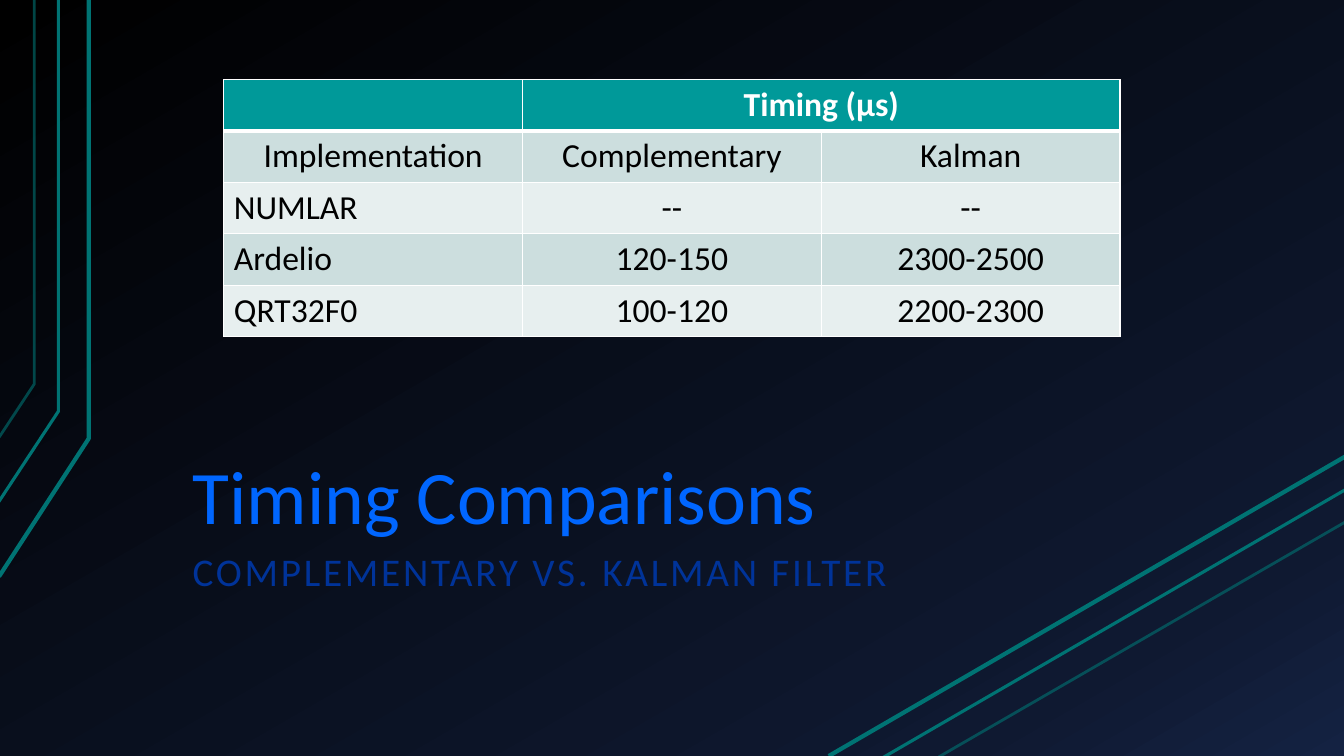
from copy import deepcopy
from pptx import Presentation
from pptx.dml.color import RGBColor
from pptx.enum.shapes import MSO_CONNECTOR
from pptx.enum.text import MSO_ANCHOR, PP_ALIGN
from pptx.oxml.ns import qn
from pptx.util import Inches, Pt
from lxml import etree

THEME = {
    "font": "Calibri",
    "background": [(0, "000000"), (0.85, "0F1931"), (1, "142242")],
    "trace": "007373",
    "title": "0066FF",
    "subtitle": "003399",
    "header": "009999",
    "bands": ["CCDEDE", "E7EFEF"],
    "border": "FFFFFF",
    "header_text": "FFFFFF",
    "cell_text": "000000",
    "title_size": 54,
    "subtitle_size": 28,
    "table_size": 24,
}


def write(frame, text, size, color, para_format, bold=False):
    para = frame.paragraphs[0]
    for name, value in para_format.items():
        setattr(para, name, value)
    span = para.add_run()
    span.text = text
    font_format = {"name": THEME["font"], "size": Pt(size), "bold": bold}
    for name, value in font_format.items():
        setattr(span.font, name, value)
    span.font.color.rgb = RGBColor.from_string(color)
    return span


def style_trace(shape, width, opacity):
    shape.line.width = Pt(width)
    shape.line.color.rgb = RGBColor.from_string(THEME["trace"])
    properties = shape._element.spPr
    color = properties.find(".//" + qn("a:ln") + "//" + qn("a:srgbClr"))
    etree.SubElement(color, qn("a:alpha"), val=str(opacity * 1000))
    if properties.find(qn("a:effectLst")) is None:
        etree.SubElement(properties, qn("a:effectLst"))


deck = Presentation()
deck.slide_width, deck.slide_height = Inches(13.33), Inches(7.5)
page = deck.slides.add_slide(deck.slide_layouts[5])

background = page.background.fill
background.gradient()
background.gradient_angle = 300
stop_list = page._element.find(".//" + qn("a:gsLst"))
stop_list.append(deepcopy(stop_list[0]))
for stop, (position, color) in zip(background.gradient_stops, THEME["background"]):
    stop.position = position
    stop.color.rgb = RGBColor.from_string(color)

trace_styles = [(3, 100), (2.25, 100), (2, 60)]
bent_traces = [
    [(-0.01, 5.72), (0.88, 4.35), (0.88, 0)],
    [(-0.02, 4.99), (0.58, 4.08), (0.58, 0)],
    [(-0.01, 4.34), (0.34, 3.81), (0.34, 0)],
]
for points, (width, opacity) in zip(bent_traces, trace_styles):
    start, *rest = [(Inches(x), Inches(y)) for x, y in points]
    builder = page.shapes.build_freeform(*start)
    builder.add_line_segments(rest, close=False)
    trace = builder.convert_to_shape()
    trace.fill.background()
    trace.shadow.inherit = False
    style_trace(trace, width, opacity)

straight_traces = [(8.22, 7.5, 4.53), (8.75, 7.52, 4.86), (9.31, 7.51, 5.18)]
for (left, bottom, top), (width, opacity) in zip(straight_traces, trace_styles):
    trace = page.shapes.add_connector(
        MSO_CONNECTOR.STRAIGHT, Inches(left), Inches(bottom), Inches(13.34), Inches(top)
    )
    style_trace(trace, width, opacity)

title = page.shapes.title
title_place = {"left": 1.78, "top": 2.42, "width": 9.78, "height": 3.02}
for name, value in title_place.items():
    setattr(title, name, Inches(value))
subtitle = page.shapes.add_textbox(Inches(1.78), Inches(5.41), Inches(7.73), Inches(1.34))

frame_format = {
    "word_wrap": True,
    "margin_left": Inches(0.13),
    "margin_right": Inches(0.13),
    "margin_top": Inches(0.07),
    "margin_bottom": Inches(0.07),
}
for box, anchor in [(title, MSO_ANCHOR.BOTTOM), (subtitle, MSO_ANCHOR.TOP)]:
    for name, value in {**frame_format, "vertical_anchor": anchor}.items():
        setattr(box.text_frame, name, value)

heading_format = {"alignment": PP_ALIGN.LEFT, "line_spacing": 0.9}
write(title.text_frame, "Timing Comparisons", THEME["title_size"], THEME["title"], heading_format)
subtitle_span = write(
    subtitle.text_frame,
    "COMPLEMENTARY VS. KALMAN FILTER",
    THEME["subtitle_size"],
    THEME["subtitle"],
    heading_format,
)
subtitle_span.font._element.set("spc", "200")

timings = [
    ["", "Timing (μs)", ""],
    ["Implementation", "Complementary", "Kalman"],
    ["NUMLAR", "--", "--"],
    ["Ardelio", "120-150", "2300-2500"],
    ["QRT32F0", "100-120", "2200-2300"],
]
row_height = 0.51
table = page.shapes.add_table(
    len(timings), 3, Inches(2.22), Inches(0.79), Inches(8.89), Inches(row_height * len(timings))
).table
table.first_row = False
table.horz_banding = False
table.cell(0, 1).merge(table.cell(0, 2))

for row, texts in enumerate(timings):
    is_header = row == 0
    fill = THEME["header"] if is_header else THEME["bands"][(row - 1) % 2]
    color = THEME["header_text"] if is_header else THEME["cell_text"]
    for column, text in enumerate(texts):
        cell = table.cell(row, column)
        cell.fill.solid()
        cell.fill.fore_color.rgb = RGBColor.from_string(fill)
        if text:
            is_label = column == 0 and row > 1
            alignment = PP_ALIGN.LEFT if is_label else PP_ALIGN.CENTER
            write(cell.text_frame, text, THEME["table_size"], color, {"alignment": alignment}, is_header)
        borders = {"lnL": 1, "lnR": 1, "lnT": 3 if row == 1 else 1, "lnB": 3 if is_header else 1}
        properties = cell._tc.get_or_add_tcPr()
        for index, (side, width) in enumerate(borders.items()):
            border = etree.Element(qn("a:" + side), w=str(Pt(width)))
            border_fill = etree.SubElement(border, qn("a:solidFill"))
            etree.SubElement(border_fill, qn("a:srgbClr"), val=THEME["border"])
            properties.insert(index, border)

deck.save("out.pptx")
